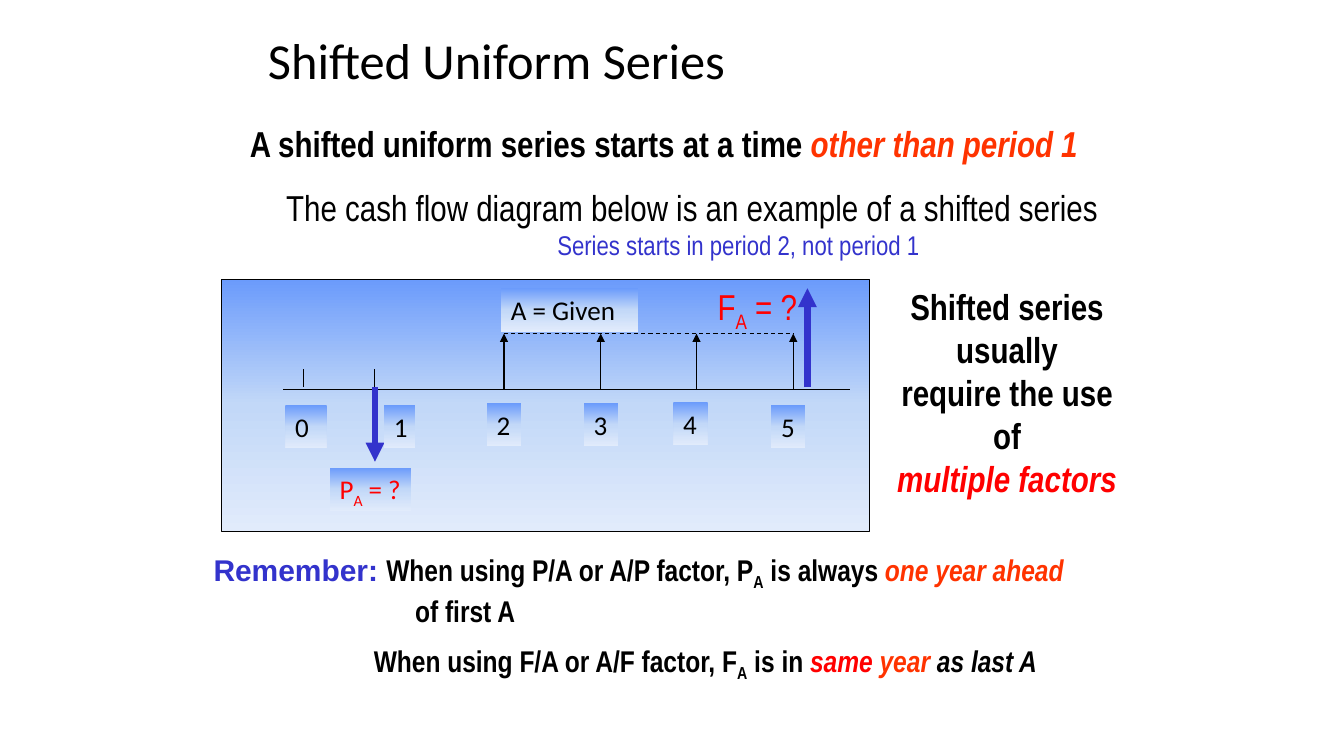
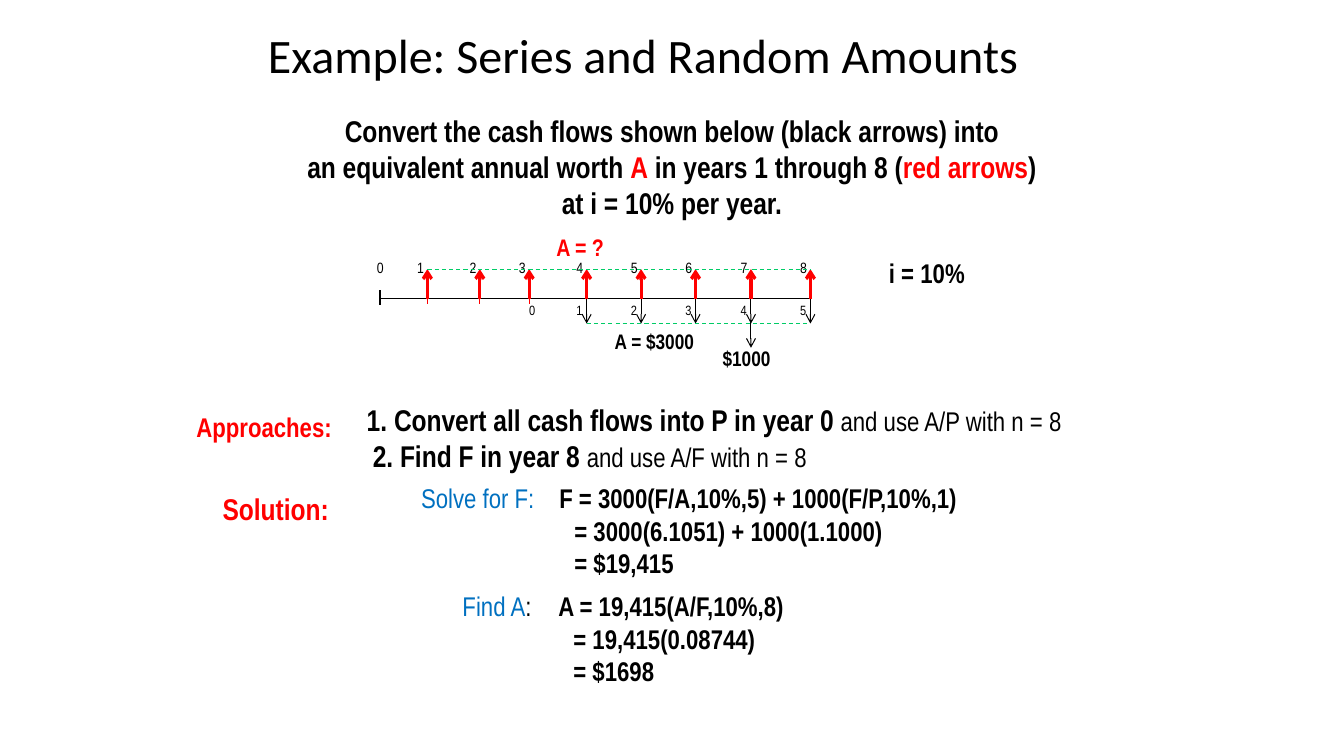
from copy import deepcopy
from dataclasses import dataclass

from lxml.etree import SubElement as sub_element
from pptx import Presentation
from pptx.dml.color import RGBColor
from pptx.enum.dml import MSO_LINE as Dash
from pptx.enum.shapes import MSO_CONNECTOR as Connector, MSO_SHAPE as Shape
from pptx.enum.text import MSO_ANCHOR as Anchor, PP_ALIGN as Align
from pptx.oxml.ns import qn
from pptx.util import Inches, Pt

CELL = 0.1
BLACK, RED, ORANGE = "000000", "FF0000", "FF3300"
INDIGO, BLUE, GREEN = "3333CC", "0070C0", "00CC66"
SKY = ((0, "6B9BFB"), (0.5, "C2D8F8"), (1, "E1EBFB"))

PLAIN = {"name": "Arial Narrow", "color": BLACK}
BOLD = PLAIN | {"bold": True}
HEADING = {"name": "Calibri", "color": BLACK}
LABEL = HEADING | {"size": 19.3}
LARGE, MEDIUM, SMALL = 25.7, 21.4, 19.3
SUB = {"sub": True}
RED_TEXT = {"color": RED}
ORANGE_ITALIC = {"color": ORANGE, "italic": True}
RED_ITALIC = {"color": RED, "italic": True}
LIGHT = {"size": SMALL, "bold": False}
LEAD = {"color": BLUE, "bold": False}


@dataclass
class Para:
    """Spans of one paragraph, with its indent and tab stops in grid cells."""
    spans: list
    indent: float = 0
    before: float = 0
    tabs: tuple = ()


def cells(*counts):
    """Turn counts of grid cells into lengths."""
    return [Inches(count * CELL) for count in counts]


def color(value):
    """Turn a hex string into a colour."""
    return RGBColor.from_string(value)


def add_span(paragraph, text, style):
    """Add one run in the given style."""
    span = paragraph.add_run()
    span.text = text
    formats = {key: style[key] for key in ("name", "bold", "italic") if key in style}
    for key, value in (formats | {"size": Pt(style["size"])}).items():
        setattr(span.font, key, value)
    span.font.color.rgb = color(style["color"])
    if style.get("sub"):
        span.font._element.set("baseline", "-25000")


def set_layout(paragraph, para, align):
    """Set indent, tab stops, spacing and alignment of a paragraph."""
    properties = paragraph._p.get_or_add_pPr()
    if para.indent:
        properties.set("marL", str(cells(para.indent)[0]))
    if para.tabs:
        stops = sub_element(properties, qn("a:tabLst"))
        for stop in cells(*para.tabs):
            sub_element(stops, qn("a:tab"), pos=str(stop), algn="l")
    if para.before:
        paragraph.space_before = Pt(para.before)
    paragraph.alignment = align


def write(box, paras, style, align=Align.LEFT, anchor=Anchor.TOP):
    """Write paragraphs into a box; plain strings take the base style."""
    frame = box.text_frame
    frame.word_wrap = True
    frame.vertical_anchor = anchor
    if align == Align.LEFT:
        frame.margin_right = 0
    for index, para in enumerate(paras):
        para = para if isinstance(para, Para) else Para([para])
        paragraph = frame.paragraphs[0] if index == 0 else frame.add_paragraph()
        set_layout(paragraph, para, align)
        for span in para.spans:
            text, change = (span, {}) if isinstance(span, str) else span
            add_span(paragraph, text, style | change)


def add_text(slide, place, paras, style, size, **layout):
    """Add a text box at a place on the grid."""
    box = slide.shapes.add_textbox(*cells(*place))
    write(box, paras, style | {"size": size}, **layout)
    return box


def add_title(slide, text, size, height):
    """Add the slide title."""
    box = add_text(slide, (25.6, 1.8, 82, height), [text], HEADING, size, anchor=Anchor.MIDDLE)
    box.text_frame.paragraphs[0].line_spacing = 0.9


def add_panel(slide, place, outline=None):
    """Add a rectangle with the sky gradient."""
    panel = slide.shapes.add_shape(Shape.RECTANGLE, *cells(*place))
    panel.shadow.inherit = False
    panel.fill.gradient()
    panel.fill.gradient_angle = 270
    stops = panel._element.spPr.find(qn("a:gradFill")).find(qn("a:gsLst"))
    stops.append(deepcopy(stops[-1]))
    for stop, (position, shade) in zip(panel.fill.gradient_stops, SKY):
        stop.position = position
        stop.color.rgb = color(shade)
    if outline:
        panel.line.color.rgb = color(outline)
        panel.line.width = Pt(0.75)
    else:
        panel.line.fill.background()
    return panel


def add_label(slide, place, *spans, **change):
    """Add a gradient label with one paragraph."""
    write(add_panel(slide, place), [Para(list(spans))], LABEL | change, anchor=Anchor.TOP)


def add_line(slide, start, end, shade=BLACK, width=0.75, head=None, dashed=False):
    """Add a straight line, with an arrowhead at its end if named."""
    line = slide.shapes.add_connector(Connector.STRAIGHT, *cells(*start, *end))
    line.line.color.rgb = color(shade)
    line.line.width = Pt(width)
    if dashed:
        line.line.dash_style = Dash.DASH
    properties = line._element.spPr
    if head:
        sub_element(properties.find(qn("a:ln")), qn("a:tailEnd"), type=head)
    sub_element(properties, qn("a:effectLst"))


def add_scale(slide, left, top, years, size):
    """Add the numbers of a time scale, each just left of its arrow."""
    text = "\t".join(str(number) for number in range(len(years) + 1))
    tabs = tuple(round(year - left - 2, 2) for year in years)
    add_text(slide, (left, top, 82 - left, 2.8), [Para([text], tabs=tabs)], PLAIN, size)


def add_working(slide, left, top, lead, steps, stop):
    """Add a calculation: a lead, its formula and the steps below."""
    first = Para([*lead, "\t" + steps[0]], tabs=(stop,))
    rest = [Para([step], indent=stop + 1.5) for step in steps[1:]]
    add_text(slide, (left, top, 60, 10.7), [first, *rest], BOLD, SMALL)


def add_shifted_diagram(slide):
    """Draw the cash flow diagram of the shifted series."""
    axis, top = 38.6, 33.1
    arrows = (50, 59.6, 69.1, 78.7)
    add_panel(slide, (22, 27.7, 64.3, 25), BLACK)
    add_line(slide, (28.1, axis), (84.3, axis))
    add_line(slide, (77.3, axis), (77.3, axis), head="triangle")
    for x in arrows:
        add_line(slide, (x, axis), (x, top), head="triangle")
    for x in (30.1, 37.2):
        add_line(slide, (x, 38.4), (x, 36.6))
    add_line(slide, (37.2, 38.4), (37.2, 45.8), INDIGO, 4.5, "triangle")
    labels = ((28.3, 40.2, 4.1), (38.1, 40.2, 3.1), (48.3, 40, 3.4),
              (57.9, 40, 3.4), (66.8, 39.9, 3.4), (76.5, 40.2, 3.4))
    for number, (left, row, width) in enumerate(labels):
        add_label(slide, (left, row, width, 4.3), str(number))
    add_label(slide, (49.7, 28.6, 13.6, 4.3), "A = Given")
    add_label(slide, (32.7, 46.4, 8.1, 4.3), "P", ("A", SUB), " = ?", color=RED)
    add_line(slide, (arrows[0], top), (arrows[-1], top), dashed=True)
    add_line(slide, (80.1, 38.4), (80.1, 28.6), INDIGO, 4.5, "triangle")
    add_text(slide, (70.2, 27.7, 9.9, 5.3), [Para(["F", ("A", SUB), " = ?"])],
             PLAIN | RED_TEXT, LARGE)


def build_shifted_series(slide):
    """Build the slide on shifted uniform series."""
    add_title(slide, "Shifted Uniform Series", 36, 8.9)
    add_text(slide, (23.8, 11.6, 85.7, 5.3), [
        Para(["A shifted uniform series starts at a time ", ("other than period 1", ORANGE_ITALIC)]),
    ], BOLD, LARGE)
    add_text(slide, (27.4, 17.9, 83.4, 8.6), [
        "The cash flow diagram below is an example of a shifted series",
        Para([("Series starts in period 2, not period 1", {"size": SMALL, "color": INDIGO})],
             indent=26.9),
    ], PLAIN, LARGE)
    add_shifted_diagram(slide)
    add_text(slide, (87.2, 27.7, 25.4, 22.6), [
        "Shifted series usually", "require the use of", ("multiple factors", RED_ITALIC),
    ], BOLD, LARGE, align=Align.CENTER)
    add_text(slide, (20.2, 54.2, 92, 17.6), [
        Para([("Remember: ", {"name": "Arial", "color": INDIGO}),
              "When using P/A or A/P factor, P", ("A", SUB), " is always ",
              ("one year ahead", ORANGE_ITALIC)]),
        Para(["of first A"], indent=20),
        Para(["When using F/A or A/F factor, F", ("A", SUB), " is in ", ("same ", RED_ITALIC),
              ("year ", ORANGE_ITALIC), ("as last A", {"italic": True})],
             indent=15.9, before=10),
    ], BOLD, MEDIUM)


def add_random_diagram(slide):
    """Draw the cash flows and the equal amounts that replace them."""
    years = (42.4, 47.6, 52.5, 58.2, 63.6, 69, 74.5, 80.4)
    axis, top, bottom = 29.6, 26.7, 32.1
    paid = years[3:]
    add_line(slide, (37.7, axis), (80.5, axis))
    add_line(slide, (37.7, 28.8), (37.7, 30.3))
    for x in paid:
        add_line(slide, (x, axis), (x, bottom), head="arrow")
    add_line(slide, (74.5, 31.8), (74.5, 34.5), head="arrow")
    add_line(slide, (paid[0], bottom), (paid[-1], bottom), GREEN, dashed=True)
    add_scale(slide, 36.4, 25.2, years, 10.7)
    add_scale(slide, 51.5, 29.5, paid, 9.6)
    for x in years[:3]:
        add_line(slide, (x, 28.8), (x, 30.2), RED)
    for x in years:
        add_line(slide, (x, axis + 0.1), (x, top), RED, 2.25, "arrow")
    add_line(slide, (years[0], top), (years[-1], top), GREEN, dashed=True)
    add_text(slide, (60, 32.1, 10, 3.5), ["A = $3000"], BOLD, 15)
    add_text(slide, (70.7, 33.8, 6.8, 3.5), ["$1000"], BOLD, 15)
    add_text(slide, (54.2, 22.6, 6.8, 3.9), ["A = ?"], BOLD | RED_TEXT, 17.1)
    add_text(slide, (87.2, 25, 10.2, 4.3), ["i = 10%"], BOLD, SMALL)


def build_random_amounts(slide):
    """Build the example slide on series and random amounts."""
    add_title(slide, "Example: Series and Random Amounts", 34.3, 8)
    add_text(slide, (21.1, 10.7, 91.1, 11.8), [
        "Convert the cash flows shown below (black arrows) into",
        Para(["an equivalent annual worth ", ("A", RED_TEXT), " in years 1 through 8 (",
              ("red arrows", RED_TEXT), ")"]),
        "at i = 10% per year.",
    ], BOLD, MEDIUM, align=Align.CENTER)
    add_random_diagram(slide)
    add_text(slide, (18.5, 40.2, 15.5, 4.3), ["Approaches:"], BOLD | RED_TEXT, SMALL)
    add_text(slide, (21.1, 48.2, 12.7, 4.6), ["Solution:"], BOLD | RED_TEXT, MEDIUM)
    add_text(slide, (35.4, 39.3, 71.6, 8.2), [
        Para(["1. Convert all cash flows into P in year 0 ", ("and use A/P with n = 8", LIGHT)]),
        Para(["2. Find F in year 8 ", ("and use A/F with n = 8", LIGHT)], indent=0.6),
    ], BOLD, MEDIUM)
    add_working(slide, 40.8, 47.3, [("Solve for F:", LEAD)], [
        "F = 3000(F/A,10%,5) + 1000(F/P,10%,1)",
        "= 3000(6.1051) + 1000(1.1000)",
        "= $19,415",
    ], 13.7)
    add_working(slide, 44.9, 58, [("Find A", LEAD), (":", {"bold": False})], [
        "A = 19,415(A/F,10%,8)",
        "= 19,415(0.08744)",
        "= $1698",
    ], 9.5)


def main():
    """Build the deck and save it."""
    deck = Presentation()
    deck.slide_width, deck.slide_height = cells(133.33, 75)
    for build in (build_shifted_series, build_random_amounts):
        build(deck.slides.add_slide(deck.slide_layouts[6]))
    deck.save("out.pptx")


if __name__ == "__main__":
    main()
